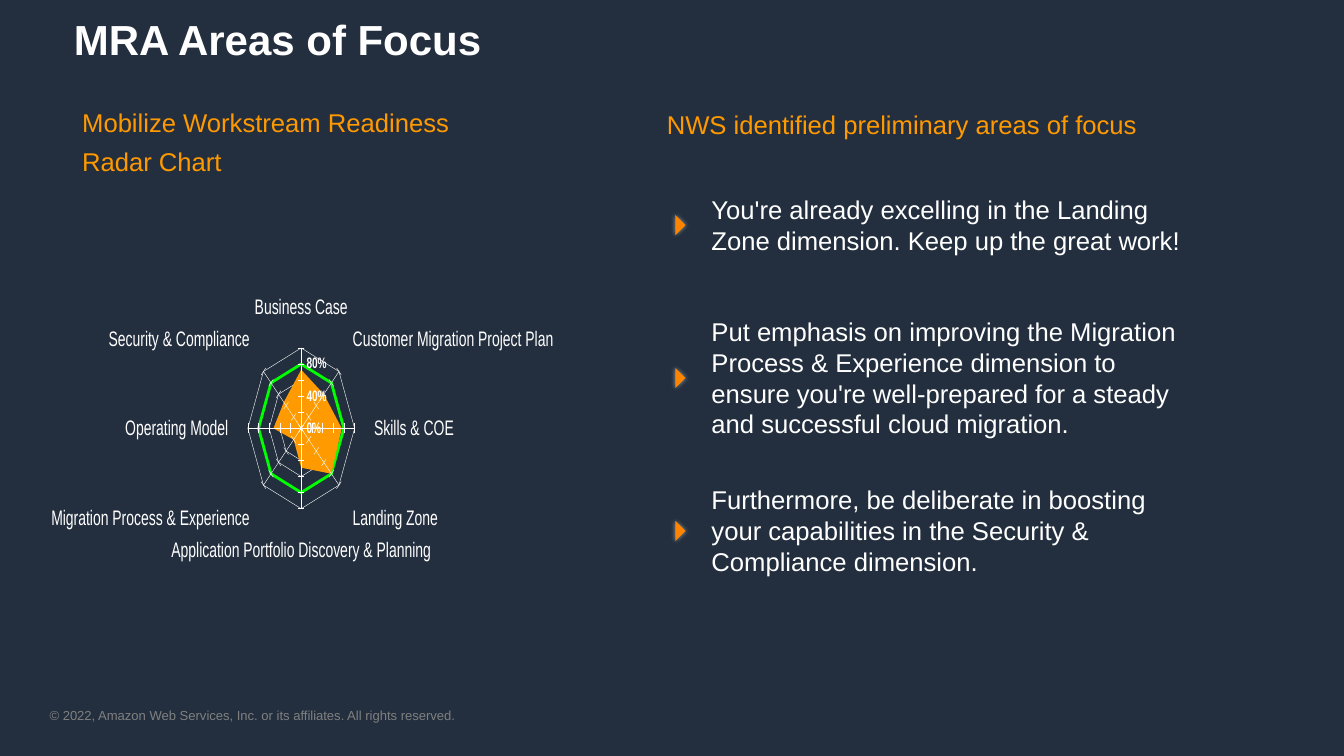
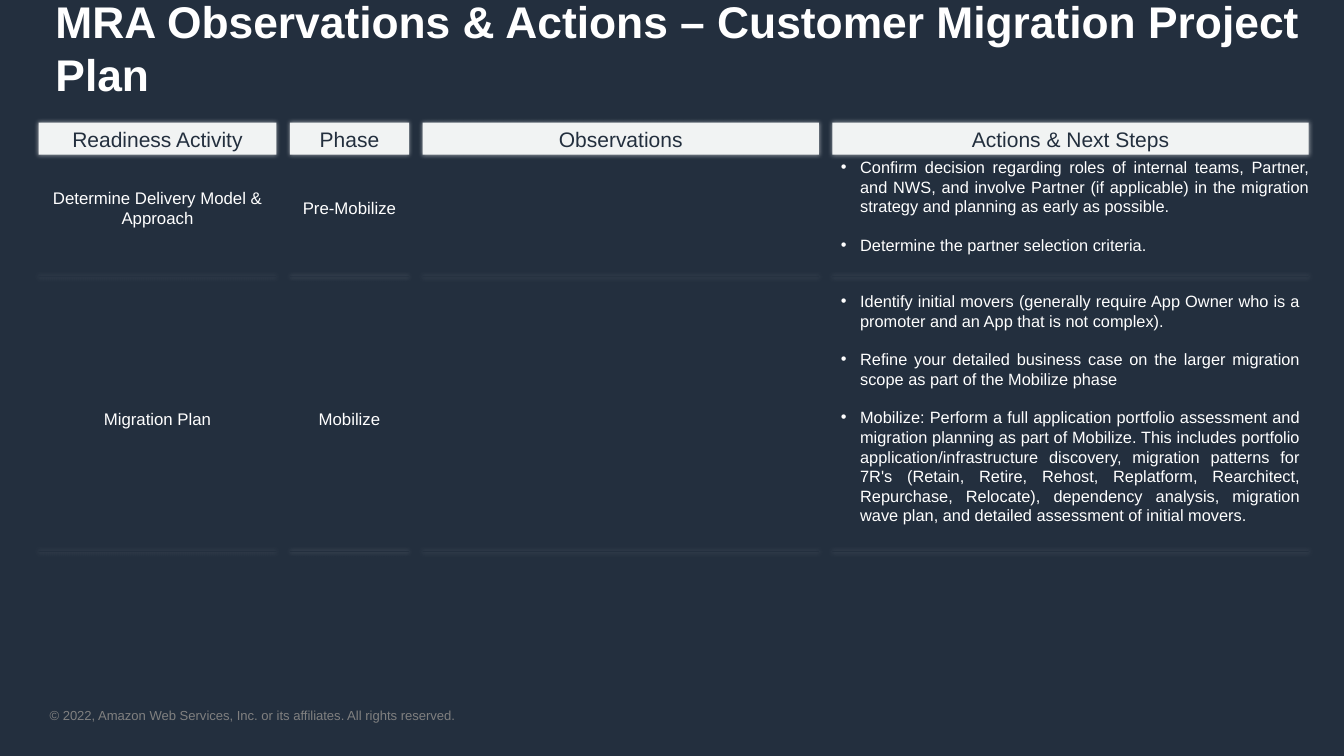
from lxml.etree import SubElement
from pptx import Presentation
from pptx.chart.data import CategoryChartData
from pptx.dml.color import RGBColor
from pptx.enum.chart import XL_CHART_TYPE, XL_TICK_MARK
from pptx.enum.shapes import MSO_SHAPE
from pptx.enum.text import MSO_ANCHOR, MSO_AUTO_SIZE, PP_ALIGN
from pptx.oxml.ns import qn
from pptx.util import Inches, Pt

COLORS = {
    "background": "232F3E",
    "text": "FFFFFF",
    "heading": "FF9900",
    "marker": "FF8500",
    "header": "F1F3F3",
    "footer": "808080",
    "area": "FF9B00",
    "target": "00FF00",
}
FONT = "Arial"
FOOTER = "© 2022, Amazon Web Services, Inc. or its affiliates. All rights reserved."
TITLE_ONLY, TWO_CONTENT = 5, 3
DEFAULT_INSETS = (0.1, 0.05)
CELL_INSETS = (0.09, 0.05)

READINESS = [
    ("Business Case", 73),
    ("Customer Migration Project Plan", 60),
    ("Skills & COE", 76),
    ("Landing Zone", 80),
    ("Application Portfolio Discovery & Planning", 49),
    ("Migration Process & Experience", 20),
    ("Operating Model", 52),
    ("Security & Compliance", 46),
]
TARGET = 80

FOCUS_AREAS = [
    "You're already excelling in the Landing Zone dimension. Keep up the great work!",
    "Put emphasis on improving the Migration Process & Experience dimension to "
    "ensure you're well-prepared for a steady and successful cloud migration.",
    "Furthermore, be deliberate in boosting your capabilities in the Security & "
    "Compliance dimension.",
]

COLUMNS = [
    ("Readiness Activity", 2.83),
    ("Phase", 1.42),
    ("Observations", 4.72),
    ("Actions & Next Steps", 5.67),
]
COLUMN_GAP = 0.16
ACTIVITIES = [
    {
        "top": 1.84, "height": 1.27, "rule": 3.29,
        "activity": "Determine Delivery Model & Approach",
        "phase": "Pre-Mobilize",
        "actions_box": (1.82, 5.78, 1.28),
        "actions": [
            "Confirm decision regarding roles of internal teams, Partner, and NWS, and "
            "involve Partner (if applicable) in the migration strategy and planning as "
            "early as possible.",
            "Determine the partner selection criteria.",
        ],
    },
    {
        "top": 3.42, "height": 3.14, "rule": 6.56,
        "activity": "Migration Plan",
        "phase": "Mobilize",
        "actions_box": (3.42, 5.67, 3.16),
        "actions": [
            "Identify initial movers (generally require App Owner who is a promoter and "
            "an App that is not complex).",
            "Refine your detailed business case on the larger migration scope as part of "
            "the Mobilize phase",
            "Mobilize: Perform a full application portfolio assessment and migration "
            "planning as part of Mobilize. This includes portfolio "
            "application/infrastructure discovery, migration patterns for 7R's (Retain, "
            "Retire, Rehost, Replatform, Rearchitect, Repurchase, Relocate), dependency "
            "analysis, migration wave plan, and detailed assessment of initial movers.",
        ],
    },
]


def color(name):
    return RGBColor.from_string(COLORS[name])


def place(shape, box):
    shape.left, shape.top, shape.width, shape.height = (Inches(value) for value in box)


def write(shape, lines, size, color_name="text", bold=False, align=PP_ALIGN.LEFT,
          anchor=MSO_ANCHOR.TOP, insets=DEFAULT_INSETS, line_spacing=1.0, gap=0,
          bullet=False):
    """Fill a shape with one paragraph per line, gap points apart."""
    frame = shape.text_frame
    frame.word_wrap = True
    frame.auto_size = MSO_AUTO_SIZE.NONE
    frame.vertical_anchor = anchor
    frame.margin_left = frame.margin_right = Inches(insets[0])
    frame.margin_top = frame.margin_bottom = Inches(insets[1])
    for index, line in enumerate(lines):
        paragraph = frame.add_paragraph() if index else frame.paragraphs[0]
        if bullet:
            properties = paragraph._p.get_or_add_pPr()
            properties.set("marL", str(Inches(0.23)))
            properties.set("indent", str(Inches(-0.23)))
            SubElement(properties, qn("a:buFont"), typeface=FONT)
            SubElement(properties, qn("a:buChar"), char="•")
        paragraph.alignment = align
        paragraph.line_spacing = line_spacing
        paragraph.space_before = Pt(gap if index else 0)
        run = paragraph.add_run()
        run.text = line
        run.font.name = FONT
        run.font.size = Pt(size)
        run.font.bold = bold
        run.font.color.rgb = color(color_name)


def add_text(slide, box, lines, size, **style):
    write(slide.shapes.add_textbox(*(Inches(value) for value in box)), lines, size, **style)


def add_glowing_shape(slide, kind, box, fill):
    """Add a borderless shape with a soft white halo."""
    shape = slide.shapes.add_shape(kind, *(Inches(value) for value in box))
    shape.fill.solid()
    shape.fill.fore_color.rgb = color(fill)
    shape.line.fill.background()
    shape.shadow.inherit = False
    effects = shape._element.spPr.find(qn("a:effectLst"))
    halo = SubElement(effects, qn("a:outerShdw"), blurRad=str(Pt(4)), dist="0", dir="0",
                      algn="ctr", rotWithShape="0")
    halo_color = SubElement(halo, qn("a:srgbClr"), val=COLORS["text"])
    SubElement(halo_color, qn("a:alpha"), val="50000")
    return shape


def add_slide(presentation, layout, title, title_box, size, **style):
    """Add a slide with its title and the shared footer."""
    slide = presentation.slides.add_slide(presentation.slide_layouts[layout])
    place(slide.shapes.title, title_box)
    write(slide.shapes.title, [title], size, bold=True, **style)
    add_text(slide, (0.59, 8.42, 7.78, 0.19), [FOOTER], 11.2, color_name="footer",
             insets=(0, 0))
    return slide


def add_radar_chart(slide, box):
    data = CategoryChartData()
    data.categories = [name for name, _ in READINESS]
    data.add_series("Series 1", [value for _, value in READINESS])
    data.add_series("Series 2", [TARGET] * len(READINESS))
    chart = slide.shapes.add_chart(
        XL_CHART_TYPE.RADAR_FILLED, *(Inches(value) for value in box), data).chart
    chart.has_title = False
    chart.has_legend = False
    chart.font.name = FONT
    chart.font.size = Pt(18)
    chart.font.color.rgb = color("text")
    plot = chart.plots[0]
    plot.vary_by_categories = False

    readiness, target = plot.series
    readiness.format.fill.solid()
    readiness.format.fill.fore_color.rgb = color("area")
    readiness.format.line.fill.background()
    target.format.fill.background()
    target.format.line.color.rgb = color("target")
    target.format.line.width = Pt(3.6)

    chart.category_axis.major_tick_mark = XL_TICK_MARK.OUTSIDE
    value_axis = chart.value_axis
    value_axis.major_tick_mark = XL_TICK_MARK.CROSS
    value_axis.minimum_scale, value_axis.maximum_scale = 0, 100
    value_axis.major_unit = 20
    labels = value_axis.tick_labels
    labels.number_format = '0"%"'
    labels.number_format_is_linked = False
    labels.font.name = FONT
    labels.font.size = Pt(13)
    labels.font.bold = True
    labels.font.color.rgb = color("text")
    for axis in (chart.category_axis, value_axis):
        axis.has_major_gridlines = True
        for line in (axis.format.line, axis.major_gridlines.format.line):
            line.color.rgb = color("text")
            line.width = Pt(0.5)


def add_focus_list(slide, left, top, step):
    for index, focus in enumerate(FOCUS_AREAS):
        item_top = top + index * step
        marker = add_glowing_shape(slide, MSO_SHAPE.ISOSCELES_TRIANGLE,
                                   (left, item_top + 0.73, 0.24, 0.12), "marker")
        marker.rotation = 90
        add_text(slide, (left + 0.41, item_top, 5.91, 1.57), [focus], 22,
                 anchor=MSO_ANCHOR.MIDDLE, insets=(0.08, 0.04))


def build_focus_slide(presentation):
    slide = add_slide(presentation, TITLE_ONLY, "MRA Areas of Focus",
                      (0.88, 0.18, 13.75, 0.95), 36, insets=(0, 0.05), line_spacing=0.9)
    add_text(slide, (0.88, 1.26, 5.98, 0.84),
             ["Mobilize Workstream Readiness", "Radar Chart"], 22,
             color_name="heading", line_spacing=0.9, gap=10)
    add_text(slide, (7.84, 1.25, 6.57, 0.47),
             ["NWS identified preliminary areas of focus"], 22, color_name="heading")
    add_radar_chart(slide, (0.61, 2.36, 5.98, 5.48))
    add_focus_list(slide, left=7.98, top=1.89, step=1.82)


def add_activity_grid(slide, left, top):
    """Draw headers, cells and row rules; actions fill the body placeholders."""
    centered = {"align": PP_ALIGN.CENTER, "anchor": MSO_ANCHOR.MIDDLE,
                "insets": CELL_INSETS}
    lefts = []
    for heading, width in COLUMNS:
        lefts.append(left)
        header = add_glowing_shape(slide, MSO_SHAPE.RECTANGLE, (left, top, width, 0.38),
                                   "header")
        write(header, [heading], 18, color_name="background", **centered)
        for row in ACTIVITIES:
            add_glowing_shape(slide, MSO_SHAPE.RECTANGLE, (left, row["rule"], width, 0.01),
                              "background")
        left += width + COLUMN_GAP

    bodies = [shape for shape in slide.placeholders if shape.placeholder_format.idx]
    for row, body in zip(ACTIVITIES, bodies):
        for column, key in enumerate(("activity", "phase")):
            box = (lefts[column], row["top"], COLUMNS[column][1], row["height"])
            add_text(slide, box, [row[key]], 14.4, **centered)
        place(body, (lefts[-1], *row["actions_box"]))
        write(body, row["actions"], 14, align=PP_ALIGN.JUSTIFY, gap=16.1, bullet=True)


def build_actions_slide(presentation):
    slide = add_slide(presentation, TWO_CONTENT,
                      "MRA Observations & Actions – Customer Migration Project Plan",
                      (0.56, 0.12, 15.14, 0.88), 38, anchor=MSO_ANCHOR.MIDDLE)
    add_activity_grid(slide, left=0.46, top=1.46)


def main():
    presentation = Presentation()
    presentation.slide_width, presentation.slide_height = Inches(16), Inches(9)
    background = presentation.slide_master.background.fill
    background.solid()
    background.fore_color.rgb = color("background")
    build_focus_slide(presentation)
    build_actions_slide(presentation)
    presentation.save("out.pptx")


if __name__ == "__main__":
    main()
